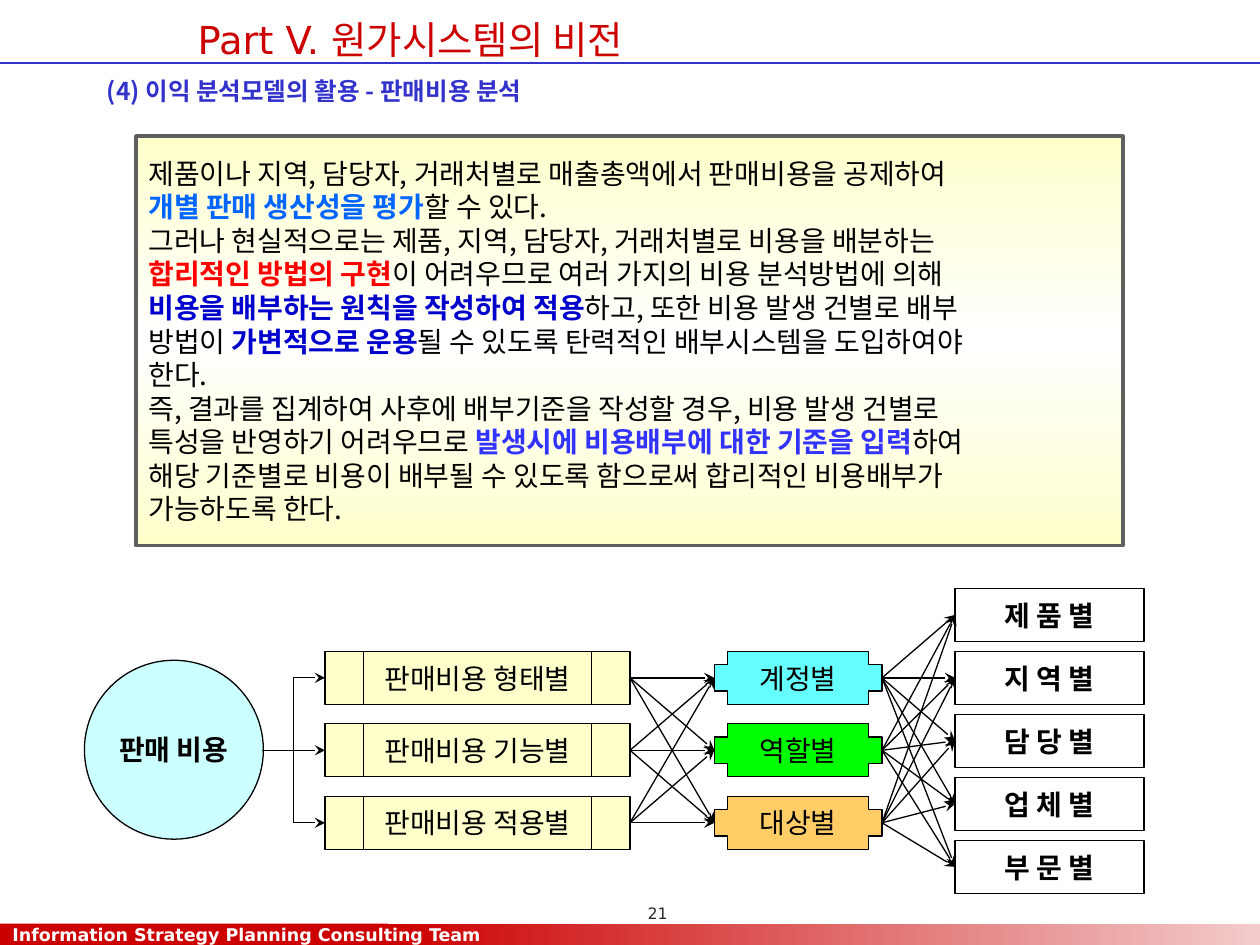
from itertools import product

from lxml import etree
from pptx import Presentation
from pptx.dml.color import RGBColor
from pptx.enum.shapes import MSO_CONNECTOR, MSO_SHAPE
from pptx.enum.text import MSO_ANCHOR, PP_ALIGN
from pptx.oxml.ns import qn
from pptx.util import Inches, Pt

LATIN, KOREAN = "DejaVu Sans", "Noto Sans CJK KR"
COLORS = {
    "black": "000000", "white": "FFFFFF", "red": "CC0000", "pale_red": "F3CBCB",
    "indigo": "3333CC", "cream": "FFFFCC", "border": "5F5F5F", "sky": "CCFFFF",
    "cyan": "66FFFF", "green": "00FF00", "orange": "FFCC66", "page": "292929",
    "blue": "0066FF", "alert": "FF0000", "navy": "0000CC", "violet": "3333FF",
}

# Content: a run is (text, colour); coloured runs are bold
EXPLANATION = [
    [("제품이나 지역, 담당자, 거래처별로 매출총액에서 판매비용을 공제하여", "black")],
    [("개별 판매 생산성을 평가", "blue"), ("할 수 있다.", "black")],
    [("그러나 현실적으로는 제품, 지역, 담당자, 거래처별로 비용을 배분하는", "black")],
    [("합리적인 방법의 구현", "alert"),
     ("이 어려우므로 여러 가지의 비용 분석방법에 의해", "black")],
    [("비용을 배부하는 원칙을 작성하여 적용", "navy"),
     ("하고, 또한 비용 발생 건별로 배부", "black")],
    [("방법이 ", "black"), ("가변적으로 운용", "navy"),
     ("될 수 있도록 탄력적인 배부시스템을 도입하여야", "black")],
    [("한다.", "black")],
    [("즉, 결과를 집계하여 사후에 배부기준을 작성할 경우, 비용 발생 건별로", "black")],
    [("특성을 반영하기 어려우므로 ", "black"),
     ("발생시에 비용배부에 대한 기준을 입력", "violet"), ("하여", "black")],
    [("해당 기준별로 비용이 배부될 수 있도록 함으로써 합리적인 비용배부가", "black")],
    [("가능하도록 한다.", "black")],
]
COST_VIEWS = ["판매비용 형태별", "판매비용 기능별", "판매비용 적용별"]
CRITERIA = [("계정별", "cyan"), ("역할별", "green"), ("대상별", "orange")]
TARGETS = ["제 품 별", "지 역 별", "담 당 별", "업 체 별", "부 문 별"]

# Diagram columns (left, width) and rows (tops)
VIEW_COLUMN, CRITERION_COLUMN, TARGET_COLUMN = (2.58, 2.42), (5.67, 1.33), (7.58, 1.5)
BOX_HEIGHT = 0.42
ROW_TOPS = [5.17 + 0.575 * row for row in range(3)]
TARGET_TOPS = [4.67 + 0.5 * row for row in range(5)]


def rgb(name):
    return RGBColor.from_string(COLORS[name])


def format_run(run, size, color, bold=False, font=KOREAN):
    run.font.size, run.font.bold, run.font.name = Pt(size), bold, font
    run.font.color.rgb = rgb(color)
    east_asian = etree.SubElement(run.font._element, qn("a:ea"))
    east_asian.set("typeface", KOREAN)


def write(shape, text, size, color, bold=False, font=KOREAN, align=PP_ALIGN.CENTER, wrap=False):
    frame = shape.text_frame
    frame.text, frame.word_wrap = text, wrap
    paragraph = frame.paragraphs[0]
    paragraph.alignment = align
    format_run(paragraph.runs[0], size, color, bold, font)
    return frame


def add_box(kind, left, top, width, height, fill, line="black", line_width=0.75):
    shape = slide.shapes.add_shape(kind, Inches(left), Inches(top), Inches(width), Inches(height))
    shape.shadow.inherit = False
    shape.text_frame.vertical_anchor = MSO_ANCHOR.MIDDLE
    shape.fill.solid()
    shape.fill.fore_color.rgb = rgb(fill)
    if line:
        shape.line.color.rgb = rgb(line)
        shape.line.width = Pt(line_width)
    else:
        shape.line.fill.background()
    return shape


def set_gradient(shape, stops, angle):
    shape.fill.gradient()
    shape.fill.gradient_angle = angle
    stop_list = shape._element.spPr.find(".//" + qn("a:gsLst"))
    for stop in list(stop_list):
        stop_list.remove(stop)
    for position, color in stops:
        stop = etree.SubElement(stop_list, qn("a:gs"), pos=str(position * 1000))
        etree.SubElement(stop, qn("a:srgbClr"), val=COLORS[color])


def add_text(left, top, width, height, *args, **options):
    box = slide.shapes.add_textbox(Inches(left), Inches(top), Inches(width), Inches(height))
    return write(box, *args, **options)


def add_line(start, end, color="black", kind=MSO_CONNECTOR.STRAIGHT, arrow=True):
    connector = slide.shapes.add_connector(kind, *(Inches(value) for value in (*start, *end)))
    connector.line.color.rgb = rgb(color)
    connector.line.width = Pt(0.75)
    properties = connector._element.spPr
    if arrow:
        etree.SubElement(properties.find(qn("a:ln")), qn("a:tailEnd"), type="stealth")
    etree.SubElement(properties, qn("a:effectLst"))


presentation = Presentation()
presentation.slide_width, presentation.slide_height = Inches(10), Inches(7.5)
slide = presentation.slides.add_slide(presentation.slide_layouts[6])

# Footer band
fade = add_box(MSO_SHAPE.RECTANGLE, 3.08, 7.33, 6.92, 0.17, "red", None)
set_gradient(fade, [(0, "red"), (100, "pale_red")], 0)
footer = add_box(MSO_SHAPE.RECTANGLE, 0, 7.33, 3.08, 0.17, "red", None)
write(footer, "Information Strategy Planning Consulting Team", 10, "white", True, LATIN,
      PP_ALIGN.LEFT)

# Title, rule and heading
add_line((0, 0.5), (10, 0.5), "indigo", arrow=False)
add_text(1.39, 0.08, 3.8, 0.47, "Part V. 원가시스템의 비전 ", 22, "red", font=LATIN)
heading = add_text(0.75, 0.5, 8.25, 0.33, "(4) 이익 분석모델의 활용 - 판매비용 분석", 14, "indigo",
                   True, align=PP_ALIGN.LEFT, wrap=True)
heading.margin_top = Inches(0.1)

# Explanation panel
panel = add_box(MSO_SHAPE.RECTANGLE, 1.08, 1.08, 7.83, 3.25, "cream", "border", 2.25)
set_gradient(panel, [(0, "cream"), (50, "white"), (100, "cream")], 90)
panel.text_frame.word_wrap = False
for index, runs in enumerate(EXPLANATION):
    frame = panel.text_frame
    paragraph = frame.add_paragraph() if index else frame.paragraphs[0]
    paragraph.alignment = PP_ALIGN.LEFT
    for text, color in runs:
        run = paragraph.add_run()
        run.text = text
        format_run(run, 16, color, color != "black")

# Diagram boxes
circle = add_box(MSO_SHAPE.OVAL, 0.67, 5.24, 1.42, 1.42, "sky")
write(circle, "판매 비용", 16, "black", True)
columns = [
    (MSO_SHAPE.FLOWCHART_PREDEFINED_PROCESS, VIEW_COLUMN, ROW_TOPS,
     [(text, "cream") for text in COST_VIEWS], False),
    (MSO_SHAPE.CROSS, CRITERION_COLUMN, ROW_TOPS, CRITERIA, False),
    (MSO_SHAPE.RECTANGLE, TARGET_COLUMN, TARGET_TOPS,
     [(text, "white") for text in TARGETS], True),
]
for kind, (left, width), tops, items, bold in columns:
    for top, (text, fill) in zip(tops, items):
        box = add_box(kind, left, top, width, BOX_HEIGHT, fill)
        write(box, text, 16, "black", bold)

# Arrows: circle to views, views to criteria, criteria to targets
row_centers = [top + BOX_HEIGHT / 2 for top in ROW_TOPS]
target_centers = [top + BOX_HEIGHT / 2 for top in TARGET_TOPS]
middle = row_centers[1]
for center in row_centers:
    kind = MSO_CONNECTOR.STRAIGHT if center == middle else MSO_CONNECTOR.ELBOW
    add_line((2.08, middle), (VIEW_COLUMN[0], center), kind=kind)
for source, target, ends in [(VIEW_COLUMN, CRITERION_COLUMN, row_centers),
                             (CRITERION_COLUMN, TARGET_COLUMN, target_centers)]:
    for start, end in product(row_centers, ends):
        add_line((sum(source), start), (target[0], end))

# Page number
page = add_text(4.42, 7.12, 1.5, 0.25, "21", 9, "page", font=LATIN, wrap=True)
page.margin_right = 0

presentation.save("out.pptx")
